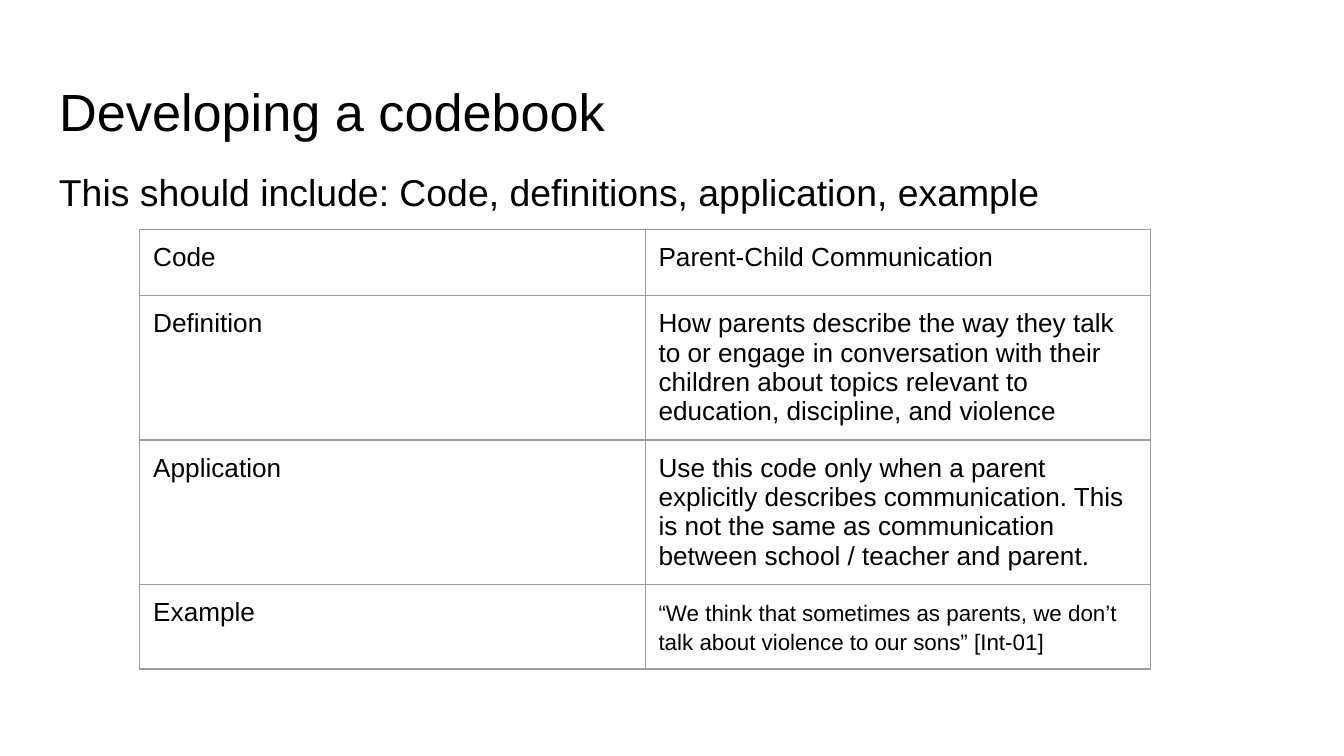
from pptx import Presentation
from pptx.dml.color import RGBColor
from pptx.enum import text
from pptx.oxml import parse_xml
from pptx.oxml.ns import nsdecls
from pptx.util import Inches, Pt

BLACK = RGBColor(0x00, 0x00, 0x00)
GREY = RGBColor(0x9E, 0x9E, 0x9E)


def write(tf, words, size=14, spacing=None, after=None):
    """Put one left-aligned paragraph of Arial text in a text frame."""
    p = tf.paragraphs[0]
    p.alignment = text.PP_ALIGN.LEFT
    p.line_spacing = spacing
    p.space_after = None if after is None else Pt(after)
    r = p.add_run()
    r.text = words
    r.font.name, r.font.size = "Arial", Pt(size)
    r.font.color.rgb = BLACK


def add_borders(cell, color, width):
    """Draw a solid line on all four sides of a table cell."""
    tc_pr = cell._tc.get_or_add_tcPr()
    for i, side in enumerate(("lnL", "lnR", "lnT", "lnB")):
        tc_pr.insert(i, parse_xml(
            f'<a:{side} {nsdecls("a")} w="{Pt(width)}"><a:solidFill>'
            f'<a:srgbClr val="{color}"/></a:solidFill></a:{side}>'))


prs = Presentation()
prs.slide_width = Inches(10)
prs.slide_height = prs.slide_width * 9 // 16
s = prs.slides.add_slide(prs.slide_layouts[5])

title = s.shapes.title
title.left, title.top = Inches(0.34), Inches(0.49)
title.width, title.height = Inches(9.32), Inches(0.63)
body = s.shapes.add_textbox(Inches(0.34), Inches(1.11), Inches(9.32), Inches(3.74))

for sp in (title, body):
    tf = sp.text_frame
    tf.word_wrap = True
    tf.auto_size = text.MSO_AUTO_SIZE.NONE
    tf.vertical_anchor = text.MSO_ANCHOR.TOP
    tf.margin_left = tf.margin_right = tf.margin_top = tf.margin_bottom = Inches(0.1)

write(title.text_frame, "Developing a codebook", size=28)
write(body.text_frame, "This should include: Code, definitions, application, example",
      size=20, spacing=1.15, after=16)

QUOTE = {"size": 12, "spacing": 1.15, "after": 16}
entries = [
    ("Code", "Parent-Child Communication", 0.49, {}),
    ("Definition", "How parents describe the way they talk to or engage in conversation "
     "with their children about topics relevant to education, discipline, and violence",
     0.43, {}),
    ("Application", "Use this code only when a parent explicitly describes communication. "
     "This is not the same as communication between school / teacher and parent. ",
     0.42, {}),
    ("Example", "“We think that sometimes as parents, we don’t talk about violence "
     "to our sons” [Int-01]", 0.42, QUOTE),
]

codebook = s.shapes.add_table(len(entries), 2, Inches(1.04), Inches(1.71),
                              Inches(7.52), Inches(1.76)).table
codebook.first_row = codebook.horz_banding = False
for column in codebook.columns:
    column.width = Inches(3.76)

for row, (label, detail, height, style) in zip(codebook.rows, entries):
    row.height = Inches(height)
    for cell, words, options in zip(row.cells, (label, detail), ({}, style)):
        cell.margin_left = cell.margin_right = Inches(0.1)
        cell.margin_top = cell.margin_bottom = Inches(0.1)
        cell.fill.background()
        add_borders(cell, GREY, 0.75)
        write(cell.text_frame, words, **options)

prs.save("out.pptx")
